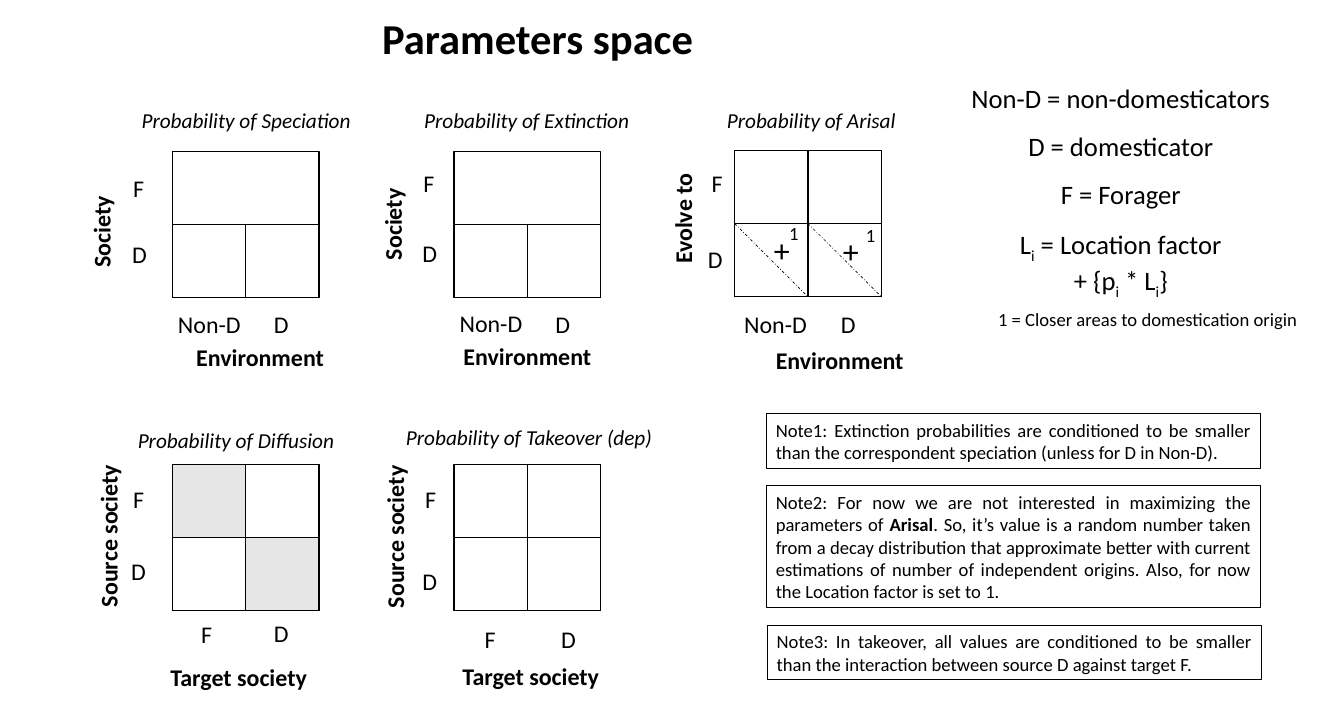
import dataclasses
import typing

import lxml.etree
import pptx
import pptx.dml.color
import pptx.enum.dml
import pptx.enum.shapes
import pptx.enum.text
import pptx.oxml.ns
import pptx.util

Inches = pptx.util.Inches
ALIGN = pptx.enum.text.PP_ALIGN
RECT = pptx.enum.shapes.MSO_SHAPE.RECTANGLE


@dataclasses.dataclass(frozen=True)
class Theme:
    font: str = "Calibri"
    ink: str = "000000"
    shade: str = "E7E6E6"
    title: int = 32
    plus: int = 24
    legend: int = 20
    label: int = 18
    heading: int = 16
    note: int = 14


class Style(typing.NamedTuple):
    size: int
    height: float
    bold: bool = False
    italic: bool = False
    rotation: int = 0


class Run(typing.NamedTuple):
    text: str
    bold: bool = False
    sub: bool = False


class Label(typing.NamedTuple):
    text: str
    left: float
    top: float
    style: Style


class Cell(typing.NamedTuple):
    row: int
    col: int
    shaded: bool = False


class Panel(typing.NamedTuple):
    left: float
    top: float
    cells: tuple[Cell, ...]
    labels: tuple[Label, ...]


class Note(typing.NamedTuple):
    left: float
    top: float
    height: float
    runs: tuple[Run, ...]


THEME = Theme()
CELL = 0.765
TITLE = Style(THEME.title, 0.64, bold=True)
HEADING = Style(THEME.heading, 0.37, italic=True)
TICK = Style(THEME.label, 0.4)
AXIS = Style(THEME.label, 0.4, bold=True)
SIDE = AXIS._replace(rotation=270)
PLUS = Style(THEME.plus, 0.51)
MARK = Style(THEME.note, 0.34)
LEGEND = Style(THEME.legend, 3.32)
NOTE = Style(THEME.note, 0.57)

WIDTHS = {
    "F": 0.32, "D": 0.36, "Non-D": 0.86, "+": 0.37, "1": 0.3,
    "Environment": 1.54, "Target society": 1.64, "Society": 0.95,
    "Evolve to": 1.15, "Source society": 1.7, "Parameters space": 3.48,
    "Probability of Speciation": 2.41, "Probability of Extinction": 2.37,
    "Probability of Arisal": 1.98, "Probability of Diffusion": 2.28,
    "Probability of Takeover (dep)": 2.8,
    "1 = Closer areas to domestication origin": 3.36,
}

BOTTOM_ROW = (Cell(1, 0), Cell(1, 1))
ALL_CELLS = (Cell(0, 0), Cell(0, 1)) + BOTTOM_ROW
DIAGONAL_SHADED = tuple(c._replace(shaded=c.row == c.col) for c in ALL_CELLS)

PANELS = (
    Panel(1.8, 1.58, BOTTOM_ROW, (
        Label("Probability of Speciation", 1.38, 1.07, HEADING),
        Label("F", 1.29, 1.76, TICK), Label("D", 1.28, 2.45, TICK),
        Label("Non-D", 1.76, 3.18, TICK), Label("D", 2.76, 3.18, TICK),
        Label("Society", 0.58, 2.22, SIDE), Label("Environment", 1.95, 3.53, AXIS))),
    Panel(4.74, 1.58, BOTTOM_ROW, (
        Label("Probability of Extinction", 4.33, 1.07, HEADING),
        Label("F", 4.32, 1.71, TICK), Label("D", 4.31, 2.44, TICK),
        Label("Non-D", 4.7, 3.17, TICK), Label("D", 5.7, 3.18, TICK),
        Label("Society", 3.62, 2.14, SIDE), Label("Environment", 4.74, 3.52, AXIS))),
    Panel(7.67, 1.57, ALL_CELLS, (
        Label("Probability of Arisal", 7.49, 1.07, HEADING),
        Label("F", 7.33, 1.71, TICK), Label("D", 7.29, 2.51, TICK),
        Label("Non-D", 7.67, 3.18, TICK), Label("D", 8.68, 3.18, TICK),
        Label("Evolve to", 6.55, 2.08, SIDE), Label("Environment", 8, 3.56, AXIS),
        Label("+", 7.98, 2.36, PLUS), Label("+", 8.7, 2.37, PLUS),
        Label("1", 8.14, 2.27, MARK), Label("1", 8.94, 2.29, MARK))),
    Panel(1.8, 4.85, DIAGONAL_SHADED, (
        Label("Probability of Diffusion", 1.34, 4.41, HEADING),
        Label("F", 1.29, 5.01, TICK), Label("D", 1.27, 5.77, TICK),
        Label("F", 2, 6.42, TICK), Label("D", 2.76, 6.41, TICK),
        Label("Source society", 0.28, 5.39, SIDE), Label("Target society", 1.68, 6.87, AXIS))),
    Panel(4.74, 4.85, ALL_CELLS, (
        Label("Probability of Takeover (dep)", 4.14, 4.38, HEADING),
        Label("F", 4.34, 5.01, TICK), Label("D", 4.31, 5.87, TICK),
        Label("F", 4.96, 6.48, TICK), Label("D", 5.76, 6.48, TICK),
        Label("Source society", 3.27, 5.4, SIDE), Label("Target society", 4.73, 6.86, AXIS))),
)

NOTES = (
    Note(8, 4.32, 0.57, (Run("Note1: Extinction probabilities are conditioned to be smaller than the "
                             "correspondent speciation (unless for D in Non-D). "),)),
    Note(8, 5.07, 1.28, (
        Run("Note2: For now we are not interested in maximizing the parameters of "),
        Run("Arisal", bold=True),
        Run(". So, it’s value is a random number taken from a decay distribution that approximate "
            "better with current estimations of number of independent origins. Also, for now the "
            "Location factor is set to 1."))),
    Note(8.01, 6.53, 0.57, (Run("Note3: In takeover, all values are conditioned to be smaller than the "
                                "interaction between source D against target F."),)),
)

LEGEND_LINES = (
    (Run("Non-D = non-domesticators"),),
    (Run("D = domesticator"),),
    (Run("F = Forager"),),
    (Run("L"), Run("i", sub=True), Run(" = Location factor")),
    (Run("+ {p"), Run("i", sub=True), Run(" * L"), Run("i", sub=True), Run("}")),
)


def rgb(code: str) -> pptx.dml.color.RGBColor:
    return pptx.dml.color.RGBColor.from_string(code)


def add_runs(p, runs: tuple[Run, ...], style: Style) -> None:
    for run in runs:
        r = p.add_run()
        r.text = run.text
        formats = {"name": THEME.font, "size": pptx.util.Pt(style.size),
                   "bold": style.bold or run.bold, "italic": style.italic}
        for name, value in formats.items():
            setattr(r.font, name, value)
        r.font.color.rgb = rgb(THEME.ink)
        if run.sub:
            r.font._element.set("baseline", "-25000")


def add_box(shapes, left: float, top: float, width: float, height: float,
            weight: float, fill: str = ""):
    sp = shapes.add_shape(RECT, Inches(left), Inches(top), Inches(width), Inches(height))
    sp.shadow.inherit = False
    if fill:
        sp.fill.solid()
        sp.fill.fore_color.rgb = rgb(fill)
    else:
        sp.fill.background()
    sp.line.color.rgb = rgb(THEME.ink)
    sp.line.width = pptx.util.Pt(weight)
    return sp


def add_label(s, label: Label) -> None:
    style = label.style
    sp = s.shapes.add_textbox(Inches(label.left), Inches(label.top),
                              Inches(WIDTHS[label.text]), Inches(style.height))
    sp.rotation = style.rotation
    tf = sp.text_frame
    tf.word_wrap = False
    tf.auto_size = pptx.enum.text.MSO_AUTO_SIZE.SHAPE_TO_FIT_TEXT
    add_runs(tf.paragraphs[0], (Run(label.text),), style)


def add_panel(s, panel: Panel) -> None:
    grid = s.shapes.add_group_shape().shapes
    add_box(grid, panel.left, panel.top, 2 * CELL, 2 * CELL, 1)
    for cell in panel.cells:
        add_box(grid, panel.left + cell.col * CELL, panel.top + cell.row * CELL,
                CELL, CELL, 1, THEME.shade if cell.shaded else "")
    for label in panel.labels:
        add_label(s, label)


def add_diagonal(s, left: float, top: float) -> None:
    c = s.shapes.add_connector(pptx.enum.shapes.MSO_CONNECTOR.STRAIGHT, Inches(left), Inches(top),
                               Inches(left + CELL), Inches(top + CELL))
    c.line.color.rgb = rgb(THEME.ink)
    c.line.width = pptx.util.Pt(0.5)
    c.line.dash_style = pptx.enum.dml.MSO_LINE.DASH_DOT
    lxml.etree.SubElement(c._element.spPr, pptx.oxml.ns.qn("a:effectLst"))


def add_note(s, note: Note) -> None:
    tf = add_box(s.shapes, note.left, note.top, 5.16, note.height, 0.75).text_frame
    tf.word_wrap = True
    tf.auto_size = pptx.enum.text.MSO_AUTO_SIZE.SHAPE_TO_FIT_TEXT
    tf.paragraphs[0].alignment = ALIGN.JUSTIFY
    add_runs(tf.paragraphs[0], note.runs, NOTE)


def add_legend(s) -> None:
    tf = s.shapes.add_textbox(Inches(10.02), Inches(0.64), Inches(3.36), Inches(LEGEND.height)).text_frame
    tf.word_wrap = False
    for i, runs in enumerate(LEGEND_LINES):
        p = tf.add_paragraph() if i else tf.paragraphs[0]
        p.alignment = ALIGN.CENTER
        p.line_spacing = 1.5 if i < len(LEGEND_LINES) - 1 else 1.0
        add_runs(p, runs, LEGEND)


def main() -> None:
    prs = pptx.Presentation()
    prs.slide_width, prs.slide_height = Inches(14.03), Inches(7.5)
    s = prs.slides.add_slide(prs.slide_layouts[6])
    add_label(s, Label("Parameters space", 3.89, 0.08, TITLE))
    for panel in PANELS:
        add_panel(s, panel)
    arisal = PANELS[2]
    for cell in BOTTOM_ROW:
        add_diagonal(s, arisal.left + cell.col * CELL, arisal.top + CELL)
    add_label(s, Label("1 = Closer areas to domestication origin", 10.32, 3.17, MARK))
    for note in NOTES:
        add_note(s, note)
    add_legend(s)
    prs.save("out.pptx")


if __name__ == "__main__":
    main()
